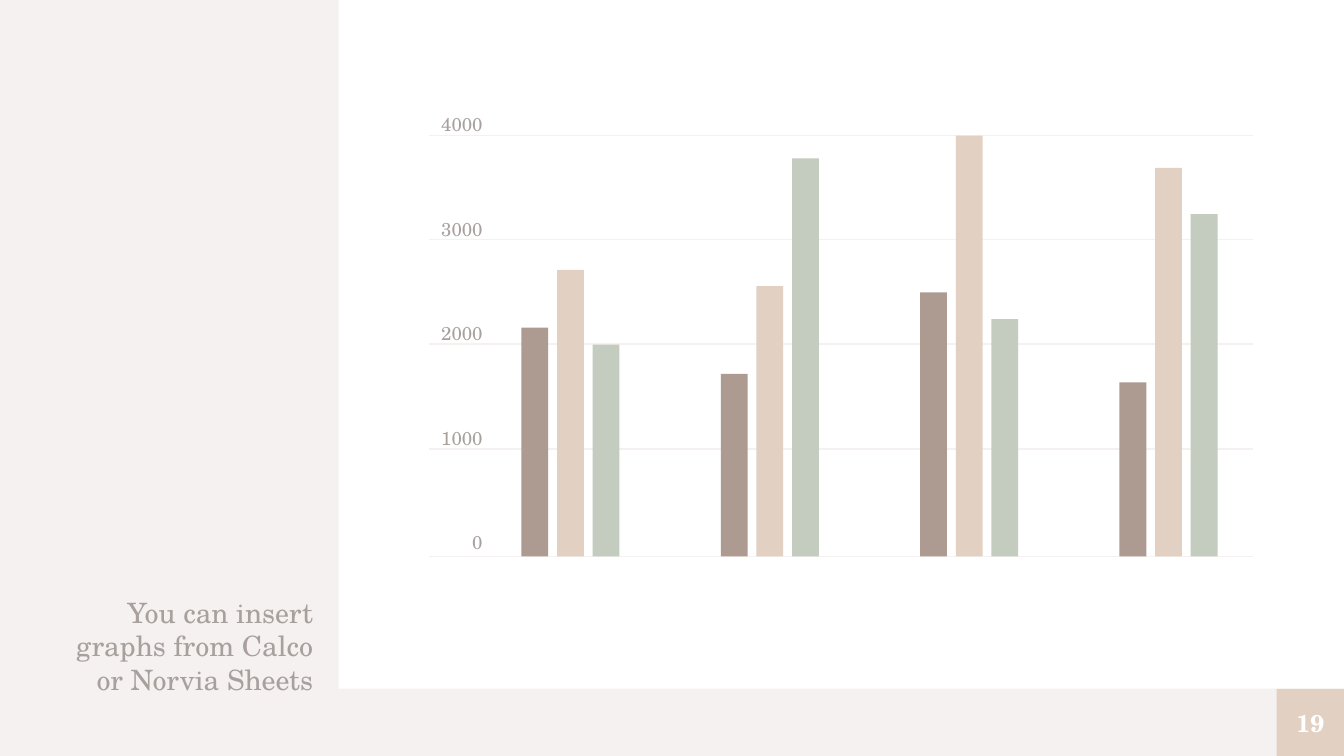
from lxml import etree
from pptx import Presentation
from pptx.dml.color import RGBColor
from pptx.enum import shapes, text
from pptx.oxml.ns import qn
from pptx.util import Inches, Pt

WIDE = 10
HIGH = WIDE * 9 / 16
FONT = "TeX Gyre Schola"
COLORS = {
    "back": "F5F1F0",
    "white": "FFFFFF",
    "text": "A8A09D",
    "brown": "AD9B91",
    "sand": "E2D1C2",
    "sage": "C4CBBF",
}
SERIES = {
    "brown": [2175, 1735, 2510, 1655],
    "sand": [2725, 2570, 4000, 3695],
    "sage": [2015, 3785, 2255, 3255],
}
TOP_VALUE = 4000
TICKS = [4000, 3000, 2000, 1000, 0]
GRID = [0, 0.77, 1.55, 2.33, 3.13]  # line offsets below the top grid line


def color(name):
    return RGBColor.from_string(COLORS[name])


def add_rect(slide, left, top, width, height, fill):
    rect = slide.shapes.add_shape(
        shapes.MSO_SHAPE.RECTANGLE,
        Inches(left), Inches(top), Inches(width), Inches(height))
    rect.shadow.inherit = False
    rect.fill.solid()
    rect.fill.fore_color.rgb = color(fill)
    rect.line.fill.background()
    return rect


def add_line(slide, left, right, y):
    line = slide.shapes.add_connector(
        shapes.MSO_CONNECTOR.STRAIGHT,
        Inches(left), Inches(y), Inches(right), Inches(y))
    line.line.color.rgb = color("back")
    line.line.width = Pt(0.75)
    etree.SubElement(line._element.spPr, qn("a:effectLst"))


def add_box(slide, left, top, width, height):
    return slide.shapes.add_textbox(
        Inches(left), Inches(top), Inches(width), Inches(height))


def write(shape, lines, size, ink, align, anchor, bold=False, gap=0):
    """Fill a shape with one paragraph per line, gap points apart."""
    frame = shape.text_frame
    frame.word_wrap = True
    frame.vertical_anchor = anchor
    frame.margin_left = frame.margin_right = 0
    frame.margin_top = frame.margin_bottom = 0
    frame.text = "\n".join(lines)
    for i, para in enumerate(frame.paragraphs):
        para.alignment = align
        para.space_before = Pt(gap if i else 0)
        para.font.name = FONT
        para.font.size = Pt(size)
        para.font.bold = bold
        para.font.color.rgb = color(ink)


def add_caption(slide, left, top, width, height):
    write(add_box(slide, left, top, width, height),
          ["You can insert graphs from Calco or Norvia Sheets"],
          15, "text", text.PP_ALIGN.RIGHT, text.MSO_ANCHOR.BOTTOM)


def add_badge(slide, left, top, width, height):
    """Page number in a coloured square."""
    write(add_rect(slide, left, top, width, height, "sand"), ["19"],
          13, "white", text.PP_ALIGN.CENTER, text.MSO_ANCHOR.MIDDLE, bold=True)


def add_graph(slide, left, top, width, height):
    """Grid, axis labels and grouped bars; top is the highest grid line."""
    for y in GRID:
        add_line(slide, left, left + width, top + y)

    labels = add_box(slide, left, top - 0.17, 0.4, height + 0.18)
    write(labels, [str(tick) for tick in TICKS], 10, "text",
          text.PP_ALIGN.RIGHT, text.MSO_ANCHOR.TOP, gap=44)

    inset, thick = 0.69, 0.2
    group_step, bar_step = 4.45 / 3, 0.53 / 2
    for group, values in enumerate(zip(*SERIES.values())):
        for bar, (fill, value) in enumerate(zip(SERIES, values)):
            tall = height * value / TOP_VALUE
            x = left + inset + group * group_step + bar * bar_step
            add_rect(slide, x, top + height - tall, thick, tall, fill)


def main():
    deck = Presentation()
    deck.slide_width, deck.slide_height = Inches(WIDE), Inches(HIGH)
    slide = deck.slides.add_slide(deck.slide_layouts[6])
    slide.background.fill.solid()
    slide.background.fill.fore_color.rgb = color("back")

    side, badge = 2.52, 0.5
    floor = HIGH - badge
    add_rect(slide, side, 0, WIDE - side, floor, "white")
    add_caption(slide, 0.4, 4.24, 1.93, 0.94)
    add_badge(slide, WIDE - badge, floor, badge, badge)
    add_graph(slide, 3.19, 1.01, 6.13, GRID[-1])
    deck.save("out.pptx")


if __name__ == "__main__":
    main()
